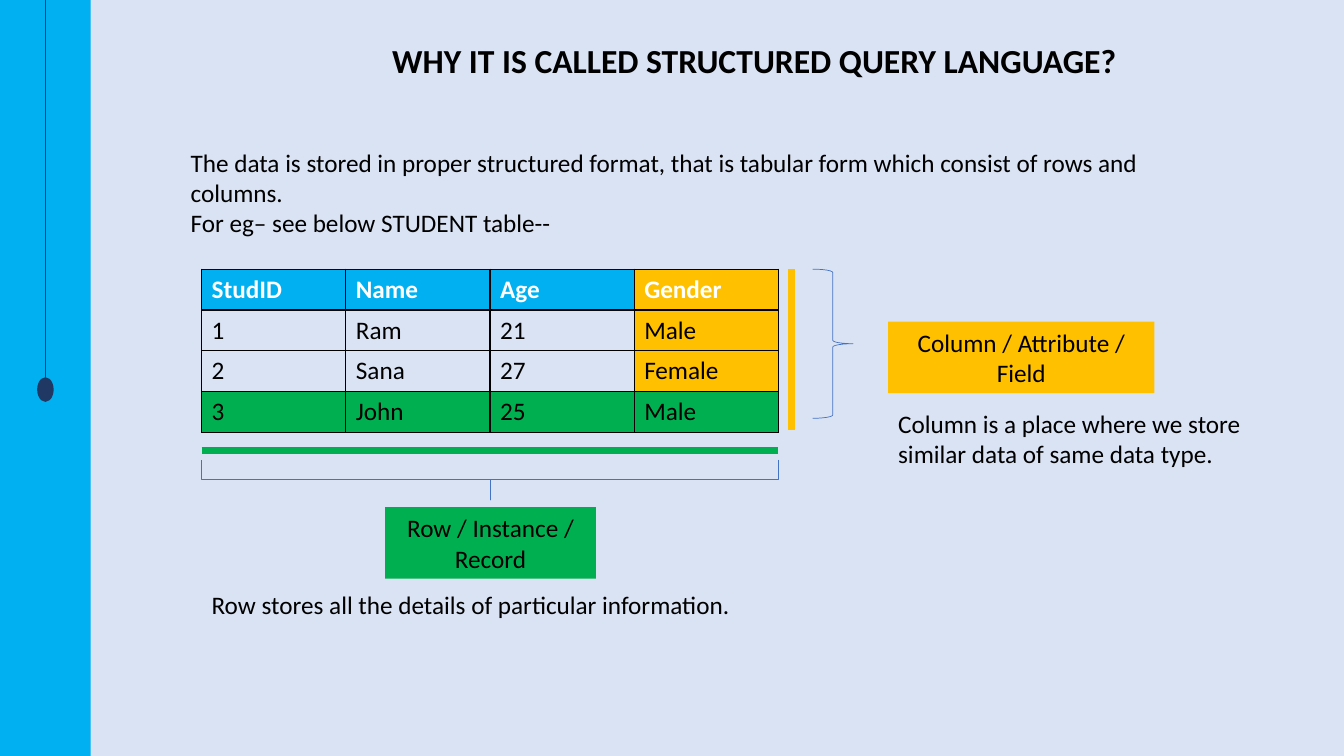
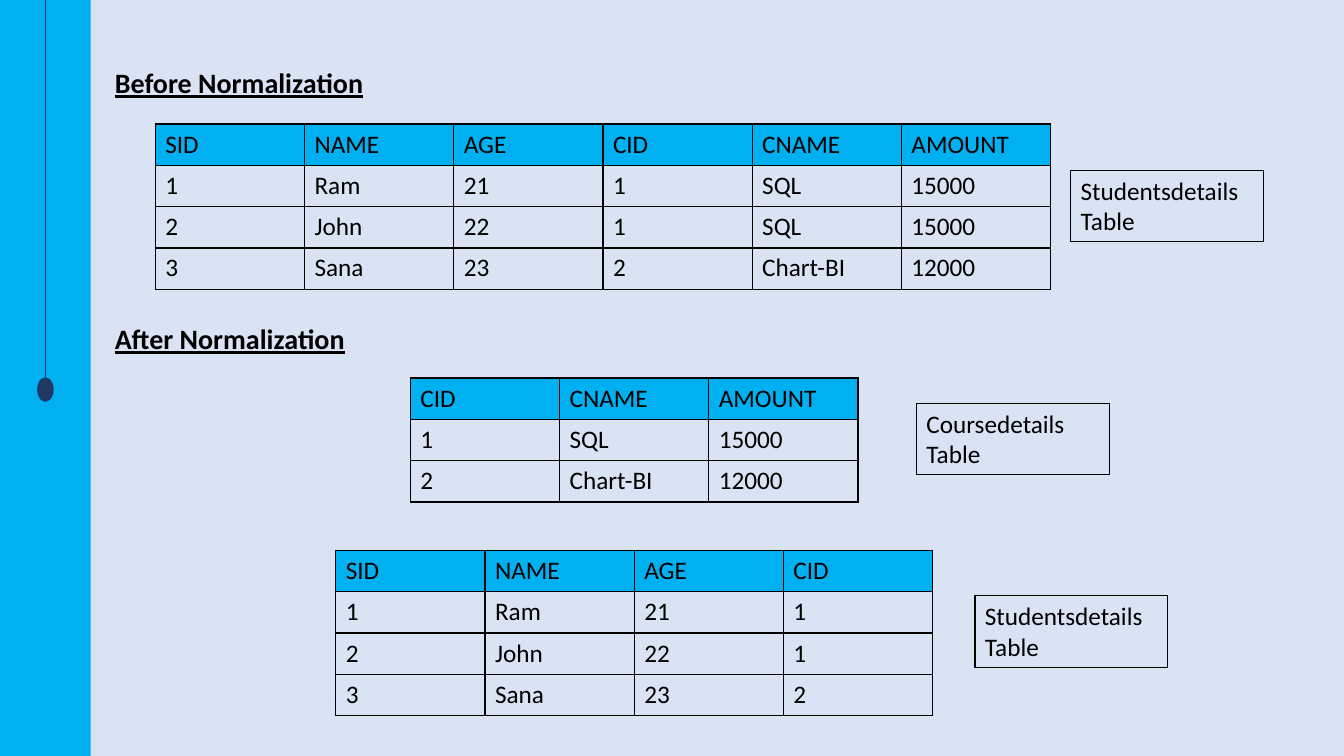
from lxml.etree import SubElement as Sub
from pptx import Presentation
from pptx.dml.color import RGBColor
from pptx.enum.shapes import MSO_CONNECTOR as Line, MSO_SHAPE as Form
from pptx.enum.text import MSO_ANCHOR as Anchor, MSO_AUTO_SIZE as Fit, PP_ALIGN as Align
from pptx.oxml.ns import qn
from pptx.util import Inches as In, Pt

WIDE, HIGH = 13.33, 7.5
BAND = 0.9
FONT = "Calibri"
HUE = {"back": "DAE3F3", "band": "00B0F0", "navy": "203864", "brace": "4472C4",
       "gold": "FFC000", "green": "00B050", "ink": "000000", "white": "FFFFFF"}

# Content
TITLE = "WHY IT IS CALLED STRUCTURED QUERY LANGUAGE?"
INTRO = ["The data is stored in proper structured format, that is tabular form "
         "which consist of rows and columns.",
         "For eg– see below STUDENT table--"]
STUDENT = [("StudID", "Name", "Age", "Gender"),
           ("1", "Ram", "21", "Male"),
           ("2", "Sana", "27", "Female"),
           ("3", "John", "25", "Male")]
COLUMN = ("Column / Attribute / Field",
          "Column is a place where we store similar data of same data type.")
RECORD = ("Row / Instance / Record",
          "Row stores all the details of particular information.")

BEFORE, AFTER = "Before Normalization", "After Normalization"
JOINED = [("SID", "NAME", "AGE", "CID", "CNAME", "AMOUNT"),
          ("1", "Ram", "21", "1", "SQL", "15000"),
          ("2", "John", "22", "1", "SQL", "15000"),
          ("3", "Sana", "23", "2", "Chart-BI", "12000")]
COURSE = [("CID", "CNAME", "AMOUNT"),
          ("1", "SQL", "15000"),
          ("2", "Chart-BI", "12000")]
PUPIL = [row[:4] for row in JOINED]
# rows, table left and top, label, label left and top
TABLES = [(JOINED, 1.54, 1.23, "Studentsdetails", 10.62, 1.69),
          (COURSE, 4.07, 3.75, "Coursedetails", 9.09, 4),
          (PUPIL, 3.33, 5.46, "Studentsdetails", 9.67, 5.91)]


# Shared parts
def rgb(name):
    return RGBColor.from_string(HUE[name])


def write(frame, lines, size=18, bold=False, under=False, hue="ink",
          align=Align.LEFT, anchor=Anchor.TOP):
    frame.word_wrap = True
    frame.auto_size = Fit.NONE
    frame.vertical_anchor = anchor
    for i, line in enumerate(lines):
        para = frame.paragraphs[0] if i == 0 else frame.add_paragraph()
        para.alignment = align
        para.space_before = Pt(0)
        run = para.add_run()
        run.text = line
        font = run.font
        font.name, font.size, font.bold, font.underline = FONT, Pt(size), bold, under
        font.color.rgb = rgb(hue)


def place(item, x, y, w, h):
    item.left, item.top, item.width, item.height = In(x), In(y), In(w), In(h)


def note(slide, box, lines, **style):
    write(slide.shapes.add_textbox(*map(In, box)).text_frame, lines, **style)


def shape(slide, form, box, fill=None, line=None, width=0.5):
    item = slide.shapes.add_shape(form, *map(In, box))
    item.shadow.inherit = False
    if fill:
        item.fill.solid()
        item.fill.fore_color.rgb = rgb(fill)
    else:
        item.fill.background()
    if line:
        item.line.color.rgb = rgb(line)
        item.line.width = Pt(width)
    else:
        item.line.fill.background()
    return item


def rule(slide, ends, hue, width):
    item = slide.shapes.add_connector(Line.STRAIGHT, *map(In, ends))
    item.line.color.rgb = rgb(hue)
    item.line.width = Pt(width)
    Sub(item._element.spPr, qn("a:effectLst"))


def frame_cell(cell):
    props = cell._tc.get_or_add_tcPr()
    for side in ("lnL", "lnR", "lnT", "lnB"):
        edge = Sub(props, qn("a:" + side), w=str(Pt(1)))
        Sub(Sub(edge, qn("a:solidFill")), qn("a:srgbClr"), val=HUE["ink"])


def table(slide, rows, x, y, wide, tall, paint, **head):
    """Draw rows as a grid; paint(r, c) names the fill of a cell."""
    count = len(rows[0])
    grid = slide.shapes.add_table(len(rows), count, In(x), In(y),
                                  In(wide * count), In(tall * len(rows))).table
    grid.horz_banding = False
    for r, row in enumerate(rows):
        grid.rows[r].height = In(tall)
        for c, word in enumerate(row):
            cell = grid.cell(r, c)
            frame_cell(cell)
            fill = paint(r, c)
            if fill:
                cell.fill.solid()
                cell.fill.fore_color.rgb = rgb(fill)
            else:
                cell.fill.background()
            write(cell.text_frame, [word], **(head if r == 0 else {}))


def start(deck, layout, title, box, **style):
    """Add a slide with its side band, pendant and title."""
    slide = deck.slides.add_slide(deck.slide_layouts[layout])
    mid, drop = BAND / 2, HIGH / 2
    shape(slide, Form.RECTANGLE, (0, 0, BAND, HIGH), "band")
    rule(slide, (mid, 0, mid, drop), "navy", 0.5)
    shape(slide, Form.OVAL, (mid - 0.075, drop, 0.15, 0.23), "navy", "navy", 1)
    place(slide.shapes.title, *box)
    write(slide.shapes.title.text_frame, [title], bold=True, **style)
    return slide


# Slides
def language(deck):
    slide = start(deck, 1, TITLE, (3.79, 0.35, 7.65, 0.5), size=24)
    body = slide.placeholders[1]
    place(body, 1.79, 1.41, 10.38, 1.01)
    write(body.text_frame, INTRO)
    for para in body.text_frame.paragraphs:
        props = para._p.get_or_add_pPr()
        props.set("marL", "0")
        props.set("indent", "0")
        Sub(props, qn("a:buNone"))

    x, y, wide, tall = 2, 2.67, 1.43, 0.4
    last = len(STUDENT) - 1
    span, deep = wide * len(STUDENT[0]), tall * len(STUDENT)
    right, foot = x + span, y + deep

    def paint(r, c):
        if r == last:
            return "green"
        if c == 3:
            return "gold"
        return "band" if r == 0 else None

    table(slide, STUDENT, x, y, wide, tall, paint, bold=True, hue="white")

    # Bars and braces beside and below the table
    rule(slide, (right + 0.13, y, right + 0.13, foot), "gold", 4.5)
    rule(slide, (x, foot + 0.2, right, foot + 0.2), "green", 4.5)
    shape(slide, Form.RIGHT_BRACE, (8.06, y, 0.4, 1.48), line="brace")
    thick = 0.4
    turned = (x + (span - thick) / 2, foot + 0.29 + (thick - span) / 2, thick, span)
    brace = shape(slide, Form.RIGHT_BRACE, turned, line="brace")
    brace.rotation = 90
    brace.adjustments[0] = 0

    # Labels with their meanings
    for (label, text), hue, box, under in (
            (COLUMN, "gold", (8.81, 3.19, 2.64, 0.71), (8.81, 4, 3.63, 0.71)),
            (RECORD, "green", (3.82, 5.03, 2.09, 0.71), (x, 5.8, span, 0.4))):
        tag = shape(slide, Form.RECTANGLE, box, hue)
        write(tag.text_frame, [label], align=Align.CENTER, anchor=Anchor.MIDDLE)
        note(slide, under, [text])


def normal(deck):
    head = {"size": 20, "under": True}
    slide = start(deck, 5, BEFORE, (1.04, 0.6, 2.9, 0.44), **head)
    note(slide, (1.04, 3.14, 2.9, 0.44), [AFTER], bold=True, **head)
    for rows, x, y, label, left, top in TABLES:
        table(slide, rows, x, y, 1.48, 0.41, lambda r, c: None if r else "band")
        tag = shape(slide, Form.RECTANGLE, (left, top, 1.91, 0.71), line="ink", width=0.75)
        write(tag.text_frame, [label, "Table"])


def main():
    deck = Presentation()
    deck.slide_width, deck.slide_height = In(WIDE), In(HIGH)
    back = deck.slide_master.background.fill
    back.solid()
    back.fore_color.rgb = rgb("back")
    language(deck)
    normal(deck)
    deck.save("out.pptx")


if __name__ == "__main__":
    main()
